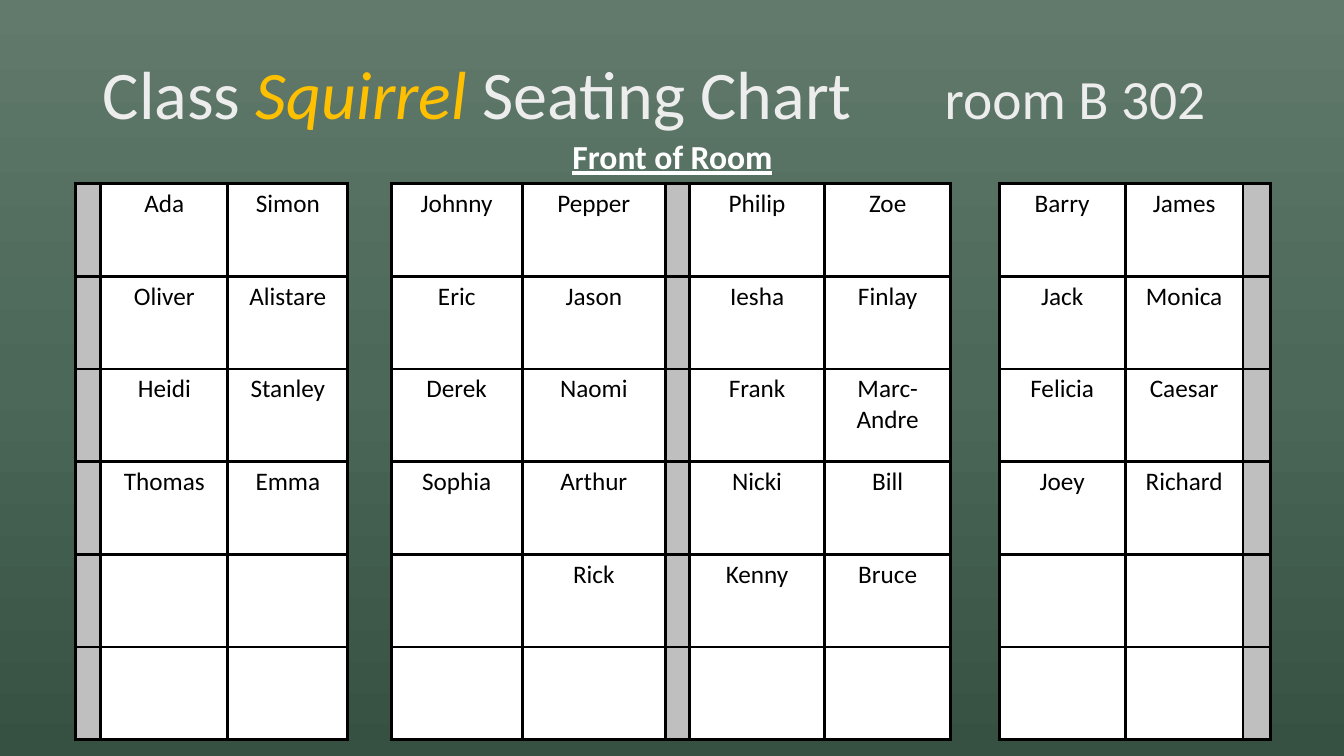
"""Build the seating chart slide for Class Squirrel."""
from copy import deepcopy

from lxml.etree import SubElement
from pptx import Presentation
from pptx.dml.color import RGBColor
from pptx.enum.text import MSO_ANCHOR, MSO_AUTO_SIZE, PP_ALIGN
from pptx.oxml.ns import qn
from pptx.util import Inches, Pt

HUES = {"top": "617A6C", "mid": "4B6858", "low": "365042", "title": "EDEDED",
        "class": "FFC000", "label": "FFFFFF", "seat": "FFFFFF",
        "aisle": "BFBFBF", "ink": "000000"}
FACE = "Calibri"
TITLE = [("Class ", 48.6, "title"), ("Squirrel", 48.6, "class"),
         (" Seating Chart\t", 48.6, "title"), ("room B 302", 39.6, "title")]
LABEL = "Front of Room"
ROWS = 6
TOP, ROW = 1.82, 0.92
BLOCKS = [
    {"left": 0.75, "cols": [0.25, 1.26, 1.19], "aisle": 0, "names": [
        ["", "Ada", "Simon"],
        ["", "Oliver", "Alistare"],
        ["", "Heidi", "Stanley"],
        ["", "Thomas", "Emma"]]},
    {"left": 3.88, "cols": [1.3, 1.42, 0.24, 1.34, 1.25], "aisle": 2, "names": [
        ["Johnny", "Pepper", "", "Philip", "Zoe"],
        ["Eric", "Jason", "", "Iesha", "Finlay"],
        ["Derek", "Naomi", "", "Frank", "Marc-Andre"],
        ["Sophia", "Arthur", "", "Nicki", "Bill"],
        ["", "Rick", "", "Kenny", "Bruce"]]},
    {"left": 9.91, "cols": [1.25, 1.17, 0.27], "aisle": 2, "names": [
        ["Barry", "James", ""],
        ["Jack", "Monica", ""],
        ["Felicia", "Caesar", ""],
        ["Joey", "Richard", ""]]},
]


def hue(name):
    return RGBColor.from_string(HUES[name])


def style(font, size, color):
    font.name, font.size = FACE, Pt(size)
    font.color.rgb = hue(color)


def paint(slide):
    fill = slide.background.fill
    fill.gradient()
    fill.gradient_angle = 270
    stops = next(slide._element.iter(qn("a:gsLst")))
    stops.insert(1, deepcopy(stops[0]))
    for stop, (spot, name) in zip(fill.gradient_stops,
                                  [(0, "top"), (0.5, "mid"), (1, "low")]):
        stop.position = spot
        stop.color.rgb = hue(name)


def place(shape, left, top, width, height):
    shape.left, shape.top = Inches(left), Inches(top)
    shape.width, shape.height = Inches(width), Inches(height)


def add_title(slide):
    title = slide.shapes.title
    place(title, 0.92, 0.4, 11.5, 1.14)
    frame = title.text_frame
    frame.auto_size = MSO_AUTO_SIZE.NONE
    frame.vertical_anchor = MSO_ANCHOR.MIDDLE
    para = frame.paragraphs[0]
    para.alignment, para.line_spacing = PP_ALIGN.LEFT, 0.9
    tabs = SubElement(para._p.get_or_add_pPr(), qn("a:tabLst"))
    SubElement(tabs, qn("a:tab"), pos=str(Inches(8.35)), algn="l")
    for text, size, color in TITLE:
        run = para.add_run()
        run.text = text
        style(run.font, size, color)
        run.font.italic = color == "class"


def add_label(slide):
    box = slide.shapes.add_textbox(Inches(5.58), Inches(1.3), Inches(2.3), Inches(0.5))
    frame = box.text_frame
    frame.word_wrap = False
    frame.auto_size = MSO_AUTO_SIZE.SHAPE_TO_FIT_TEXT
    para = frame.paragraphs[0]
    para.text = LABEL
    style(para.font, 24, "label")
    para.font.bold = para.font.underline = True


def edge(cell):
    props = cell._tc.get_or_add_tcPr()
    for side in "LRTB":
        line = SubElement(props, qn(f"a:ln{side}"), w=str(Pt(2.25)))
        solid = SubElement(line, qn("a:solidFill"))
        SubElement(solid, qn("a:srgbClr"), val=HUES["ink"])


def add_block(slide, left, cols, aisle, names):
    table = slide.shapes.add_table(ROWS, len(cols), Inches(left), Inches(TOP),
                                   Inches(sum(cols)), Inches(ROWS * ROW)).table
    table.first_row = table.horz_banding = False
    for col, width in zip(table.columns, cols):
        col.width = Inches(width)
    for r, row in enumerate(table.rows):
        row.height = Inches(ROW)
        for c, cell in enumerate(row.cells):
            edge(cell)
            cell.fill.solid()
            cell.fill.fore_color.rgb = hue("aisle" if c == aisle else "seat")
            if r < len(names) and names[r][c]:
                cell.text = names[r][c]
            para = cell.text_frame.paragraphs[0]
            para.alignment = PP_ALIGN.CENTER
            style(para.font, 18, "ink")


def main():
    deck = Presentation()
    deck.slide_width, deck.slide_height = Inches(13.33), Inches(7.5)
    slide = deck.slides.add_slide(deck.slide_layouts[5])
    paint(slide)
    add_title(slide)
    for block in BLOCKS:
        add_block(slide, **block)
    add_label(slide)
    deck.save("out.pptx")


if __name__ == "__main__":
    main()
